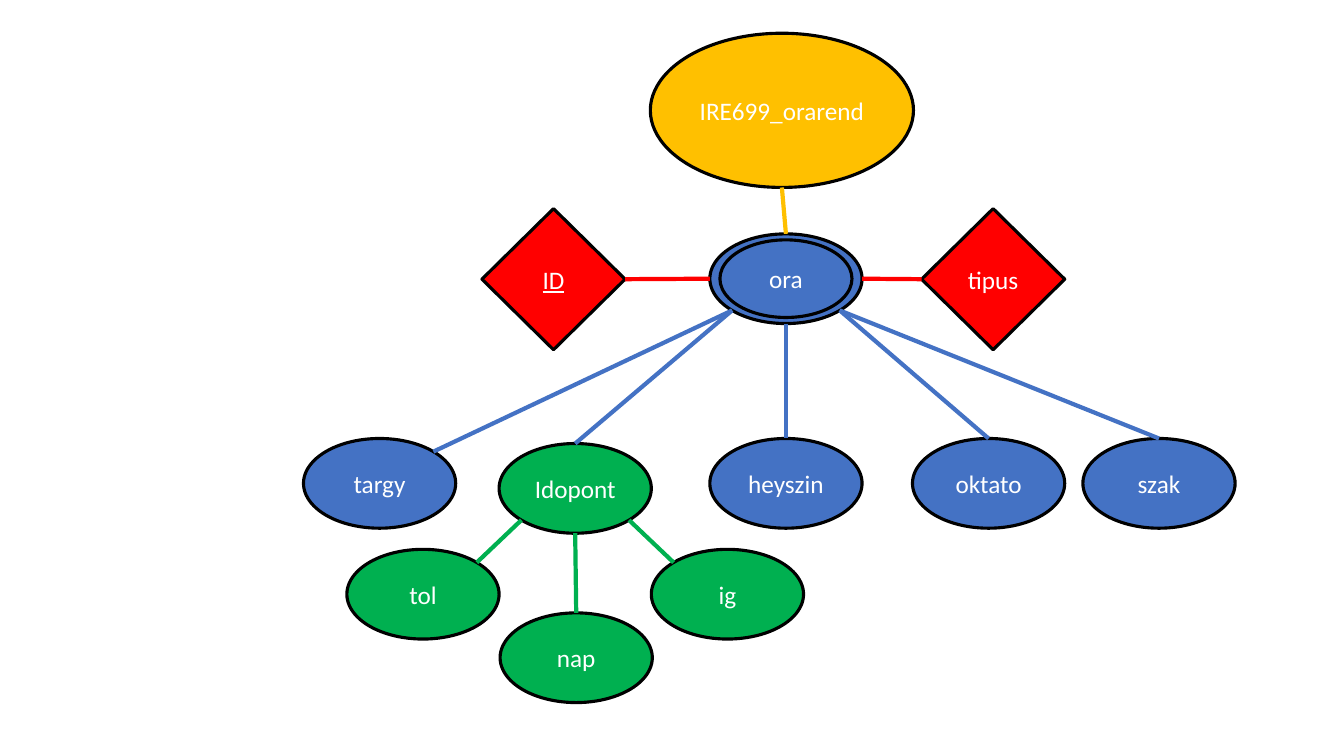
from math import cos, pi, sin

from pptx import Presentation
from pptx.dml.color import RGBColor
from pptx.enum.shapes import MSO_CONNECTOR, MSO_SHAPE
from pptx.enum.text import MSO_ANCHOR, PP_ALIGN
from pptx.oxml.xmlchemy import OxmlElement
from pptx.util import Emu, Pt

PX = 9144  # 100 px to the inch
BLUE, GREEN, RED, GOLD = "4472C4", "00B050", "FF0000", "FFC000"
BLACK, WHITE = "000000", "FFFFFF"
NODE_WIDTH, NODE_HEIGHT = 151, 89

# Points on the outline in eighths of a turn, counter-clockwise from the top
TOP, UPPER_LEFT, LEFT, LOWER_LEFT, BOTTOM, LOWER_RIGHT, RIGHT, UPPER_RIGHT = range(8)


def color(value):
    return RGBColor.from_string(value)


def add_node(slide, box, text, fill, kind=MSO_SHAPE.OVAL, underline=None):
    shape = slide.shapes.add_shape(kind, *[Emu(length * PX) for length in box])
    shape.shadow.inherit = False
    if fill:
        shape.fill.solid()
        shape.fill.fore_color.rgb = color(fill)
    else:
        shape.fill.background()
    shape.line.color.rgb = color(BLACK)
    shape.line.width = Pt(2.25)
    if text:
        frame = shape.text_frame
        frame.vertical_anchor = MSO_ANCHOR.MIDDLE
        paragraph = frame.paragraphs[0]
        paragraph.text = text
        paragraph.alignment = PP_ALIGN.CENTER
        font = paragraph.font
        font.name, font.size, font.underline = "Calibri", Pt(18), underline
        font.color.rgb = color(WHITE)
    return shape


def outline_point(shape, site):
    angle = pi * site / 4
    x = shape.left + shape.width / 2 * (1 - sin(angle))
    y = shape.top + shape.height / 2 * (1 - cos(angle))
    return Emu(round(x)), Emu(round(y))


def link(slide, start, start_site, end, end_site, line_color):
    connector = slide.shapes.add_connector(
        MSO_CONNECTOR.STRAIGHT,
        *outline_point(start, start_site), *outline_point(end, end_site))
    connector.line.color.rgb = color(line_color)
    connector.line.width = Pt(3)
    connector._element.spPr.append(OxmlElement("a:effectLst"))


def draw_lesson(slide, left, top, width, height):
    """Schema root, lesson element and its two attribute diamonds."""
    root = add_node(slide, (left + 167, top, 261, 153), "IRE699_orarend", GOLD)
    lesson_box = (left + 226, top + 199, NODE_WIDTH, NODE_HEIGHT)
    lesson = add_node(slide, lesson_box, "ora", BLUE)
    diamond_width, diamond_height = 142, 140
    diamond_top = top + height - diamond_height
    identifier = add_node(
        slide, (left, diamond_top, diamond_width, diamond_height),
        "ID", RED, MSO_SHAPE.DIAMOND, True)
    category = add_node(
        slide, (left + width - diamond_width, diamond_top, diamond_width, diamond_height),
        "tipus", RED, MSO_SHAPE.DIAMOND)
    link(slide, lesson, TOP, root, BOTTOM, GOLD)
    link(slide, lesson, LEFT, identifier, RIGHT, RED)
    link(slide, lesson, RIGHT, category, LEFT, RED)
    # Inner ring of the double outline
    x, y, ring_width, ring_height = lesson_box
    add_node(slide, (x + 10, y + 6, ring_width - 20, ring_height - 12), None, None)
    return lesson


def draw_children(slide, left, top, parent, line_color, children):
    """Child ellipses, offset from the corner and linked to the parent."""
    nodes = {}
    for text, x, y, fill, parent_site, child_site in children:
        box = (left + x, top + y, NODE_WIDTH, NODE_HEIGHT)
        nodes[text] = add_node(slide, box, text, fill)
        link(slide, parent, parent_site, nodes[text], child_site, line_color)
    return nodes


def main():
    presentation = Presentation()
    presentation.slide_width, presentation.slide_height = Emu(1333 * PX), Emu(750 * PX)
    slide = presentation.slides.add_slide(presentation.slide_layouts[6])

    lesson = draw_lesson(slide, 478, 33, 578, 314)

    # Elements of the lesson
    elements = draw_children(slide, 301, 435, lesson, BLUE, [
        ("targy", 0, 0, BLUE, LOWER_LEFT, UPPER_RIGHT),
        ("Idopont", 194, 5, GREEN, LOWER_LEFT, TOP),
        ("heyszin", 403, 0, BLUE, BOTTOM, TOP),
        ("oktato", 604, 0, BLUE, LOWER_RIGHT, TOP),
        ("szak", 773, 0, BLUE, LOWER_RIGHT, TOP),
    ])

    # Parts of the time slot
    draw_children(slide, 344, 545, elements["Idopont"], GREEN, [
        ("tol", 0, 0, GREEN, LOWER_LEFT, UPPER_RIGHT),
        ("nap", 152, 63, GREEN, BOTTOM, TOP),
        ("ig", 302, 0, GREEN, LOWER_RIGHT, UPPER_LEFT),
    ])

    presentation.save("out.pptx")


if __name__ == "__main__":
    main()
